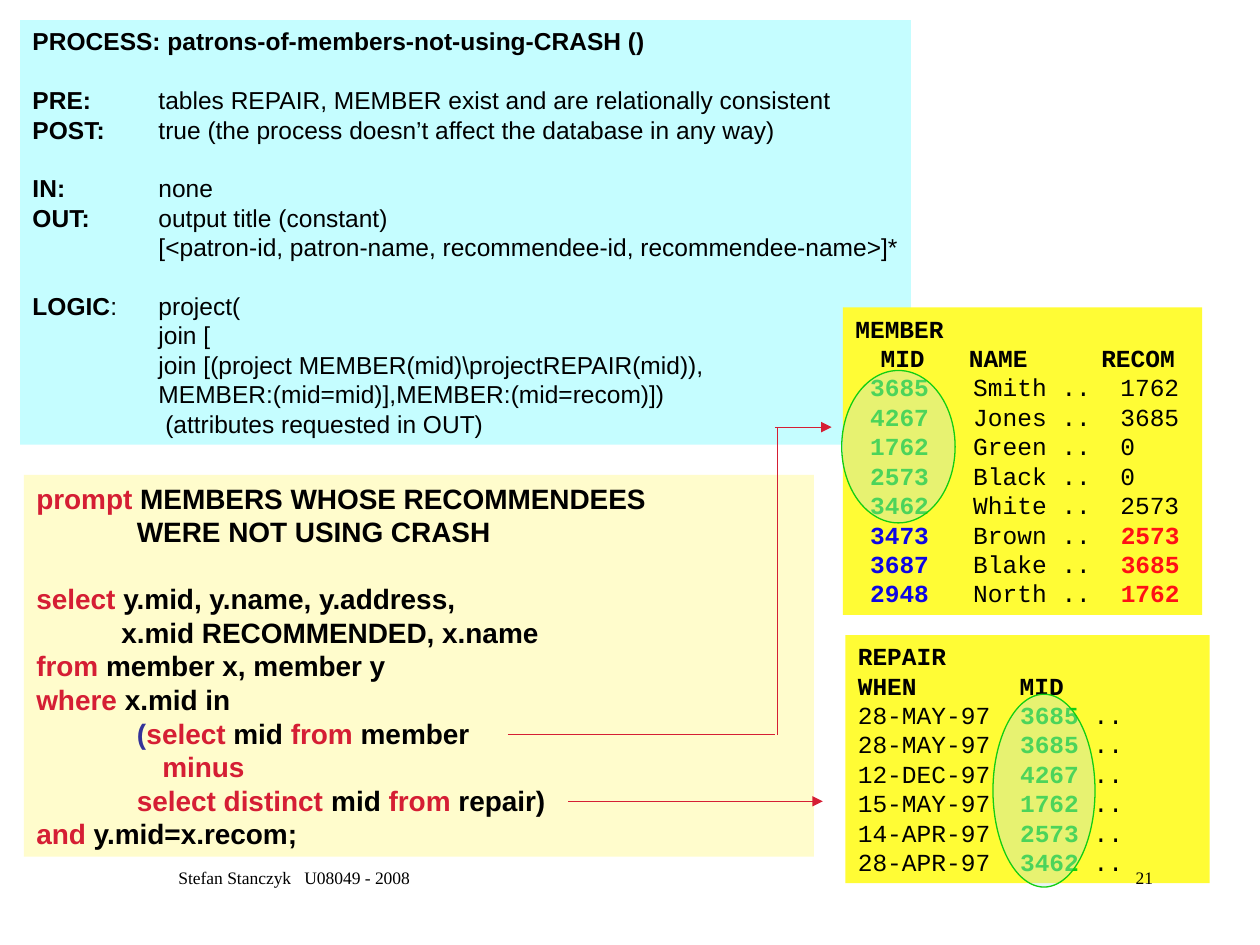
import pptx
import pptx.util
import pptx.dml.color
import pptx.enum.shapes
import pptx.enum.text
import pptx.oxml
import pptx.oxml.ns
from lxml import etree

Pt = pptx.util.Pt
RGB = pptx.dml.color.RGBColor.from_string
SHAPE = pptx.enum.shapes.MSO_SHAPE
ALIGN = pptx.enum.text.PP_ALIGN
qn = pptx.oxml.ns.qn

COLORS = {"black": "000000", "red": "D51E34", "green": "12CE12", "blue": "0E06E3",
          "bright": "FF1115", "indigo": "333399", "cyan": "C5FDFF", "cream": "FFFCCC",
          "yellow": "FFFC35", "oval": "BBE0E3"}

prs = pptx.Presentation()
prs.slide_width, prs.slide_height = Pt(720), Pt(540)
s = prs.slides.add_slide(prs.slide_layouts[6])


def add_panel(box, fill, font, size, lines):
    """A filled box; None in lines leaves a line's gap, a run is (text, colour, bold, size)."""
    sp = s.shapes.add_shape(SHAPE.RECTANGLE, *map(Pt, box))
    sp.shadow.inherit = False
    sp.fill.solid()
    sp.fill.fore_color.rgb = RGB(COLORS[fill])
    sp.line.fill.background()
    tf = sp.text_frame
    tf.word_wrap = True
    tf.margin_right = 0
    tf.vertical_anchor = pptx.enum.text.MSO_ANCHOR.TOP
    leading = round(size * 1.2, 1)
    gap = 0
    for i, line in enumerate(lines):
        if line is None:
            gap = leading
            continue
        p = tf.add_paragraph() if i else tf.paragraphs[0]
        p.alignment = ALIGN.LEFT
        p.line_spacing = Pt(leading)
        p.space_before = Pt(gap)
        gap = 0
        tabs = etree.SubElement(p._p.get_or_add_pPr(), qn("a:tabLst"))
        etree.SubElement(tabs, qn("a:tab"), pos=str(Pt(72)), algn="l")
        for text, color, bold, *own_size in line:
            r = p.add_run()
            r.text = text
            r.font.name = font
            r.font.size = Pt(own_size[0] if own_size else size)
            r.font.bold = bold
            r.font.color.rgb = RGB(COLORS[color])


# Process specification: label, tab, text
spec_rows = [
    ("PRE:", "tables REPAIR, MEMBER exist and are relationally consistent"),
    ("POST:", "true (the process doesn’t affect the database in any way)"),
    None,
    ("IN:", "none"),
    ("OUT:", "output title (constant)"),
    ("", "[<patron-id, patron-name, recommendee-id, recommendee-name>]*"),
    None,
    ("LOGIC", "project("),
    ("", "join ["),
    ("", r"join [(project MEMBER(mid)\projectREPAIR(mid)),"),
    ("", "MEMBER:(mid=mid)],MEMBER:(mid=recom)])"),
    ("", " (attributes requested in OUT)"),
]
lines = [[("PROCESS: patrons-of-members-not-using-CRASH ()", "black", True)], None]
for row in spec_rows:
    if row is None:
        lines.append(None)
        continue
    label, text = row
    colon = ":" if label == "LOGIC" else ""
    runs = [(label, "black", True)] if label else []
    lines.append(runs + [(colon + "\t" + text, "black", False)])
add_panel((11.5, 11.5, 509, 242.6), "cyan", "Arial", 14, lines)

# SQL query
query = [
    [("prompt", "red"), (" MEMBERS WHOSE RECOMMENDEES", "black")],
    [("             WERE NOT USING CRASH", "black")],
    None,
    [("select ", "red"), ("y.mid, y.name, y.address,", "black")],
    [("           x.mid RECOMMENDED, x.name", "black")],
    [("from", "red"), (" member x, member y", "black")],
    [("where ", "red"), ("x.mid in", "black")],
    [("             (", "indigo"), ("select ", "red"), ("mid ", "black"),
     ("from ", "red"), ("member", "black")],
    [("\tminus", "red")],
    [("             select distinct ", "red"), ("mid ", "black"), ("from", "red"),
     (" repair)", "black")],
    [("and ", "red"), ("y.mid=x.recom;", "black")],
]
add_panel((13.7, 271.4, 451.4, 218.2), "cream", "Arial", 16,
          [line and [(text, color, True) for text, color in line] for line in query])

# REPAIR listing
repairs = [("28-MAY-97", "3685"), ("28-MAY-97", "3685"), ("12-DEC-97", "4267"),
           ("15-MAY-97", "1762"), ("14-APR-97", "2573"), ("28-APR-97", "3462")]
lines = [[("REPAIR", "black", True)], [("WHEN       MID", "black", True)]]
for when, mid in repairs:
    lines.append([(when + "  ", "black", False), (mid, "green", True), (" ..", "black", False)])
add_panel((483.1, 362.9, 208.1, 141.8), "yellow", "Courier New", 14, lines)

# MEMBER listing: the last three were recommended by someone
members = [("3685", "Smith", "1762"), ("4267", "Jones", "3685"), ("1762", "Green", "0"),
           ("2573", "Black", "0"), ("3462", "White", "2573"), ("3473", "Brown", "2573"),
           ("3687", "Blake", "3685"), ("2948", "North", "1762")]
lines = [[("MEMBER", "black", True)],
         [("  ", "black", False, 12), ("MID   NAME     RECOM", "black", True)]]
for i, (mid, name, recom) in enumerate(members):
    marked = i >= 5
    lines.append([(" ", "black", False), (mid, "blue" if marked else "green", True),
                  (f"   {name} ..  ", "black", False),
                  (recom, "bright" if marked else "black", marked)])
add_panel((481.7, 175.7, 205.2, 175.7), "yellow", "Courier New", 14, lines)

# Arrows from the subqueries to the listings
for x1, y1, x2, y2, arrow in [(324.7, 457.9, 470.2, 457.9, True),
                              (290.2, 419.8, 442.8, 419.8, False),
                              (444.2, 419.8, 444.2, 244.1, False),
                              (442.8, 244.1, 475.2, 244.1, True)]:
    c = s.shapes.add_connector(pptx.enum.shapes.MSO_CONNECTOR.STRAIGHT,
                               Pt(x1), Pt(y1), Pt(x2), Pt(y2))
    c.line.color.rgb = RGB(COLORS["red"])
    c.line.width = Pt(0.75)
    if arrow:
        etree.SubElement(c.line._get_or_add_ln(), qn("a:tailEnd"), type="triangle")
    etree.SubElement(c._element.spPr, qn("a:effectLst"))

# Translucent ovals around the MID columns
for box in [(481, 211.7, 64.8, 87.1), (567.4, 396.7, 58.3, 110.2)]:
    sp = s.shapes.add_shape(SHAPE.OVAL, *map(Pt, box))
    sp.shadow.inherit = False
    sp.fill.solid()
    sp.fill.fore_color.rgb = RGB(COLORS["oval"])
    color = sp._element.spPr.find(qn("a:solidFill"))[0]
    etree.SubElement(color, qn("a:alpha"), val="35000")
    sp.line.color.rgb = RGB(COLORS["green"])
    sp.line.width = Pt(0.75)

# Footer and slide number
for left, width, align, text in [(54, 228.2, ALIGN.CENTER, "Stefan Stanczyk   U08049 - 2008"),
                                 (516.2, 149.8, ALIGN.RIGHT, "21")]:
    tf = s.shapes.add_textbox(Pt(left), Pt(491.8), Pt(width), Pt(36)).text_frame
    tf.word_wrap = True
    p = tf.paragraphs[0]
    p.alignment = align
    r = p.add_run()
    r.text = text
    r.font.name = "Times New Roman"
    r.font.size = Pt(10)
    r.font.color.rgb = RGB(COLORS["black"])

prs.save("out.pptx")
